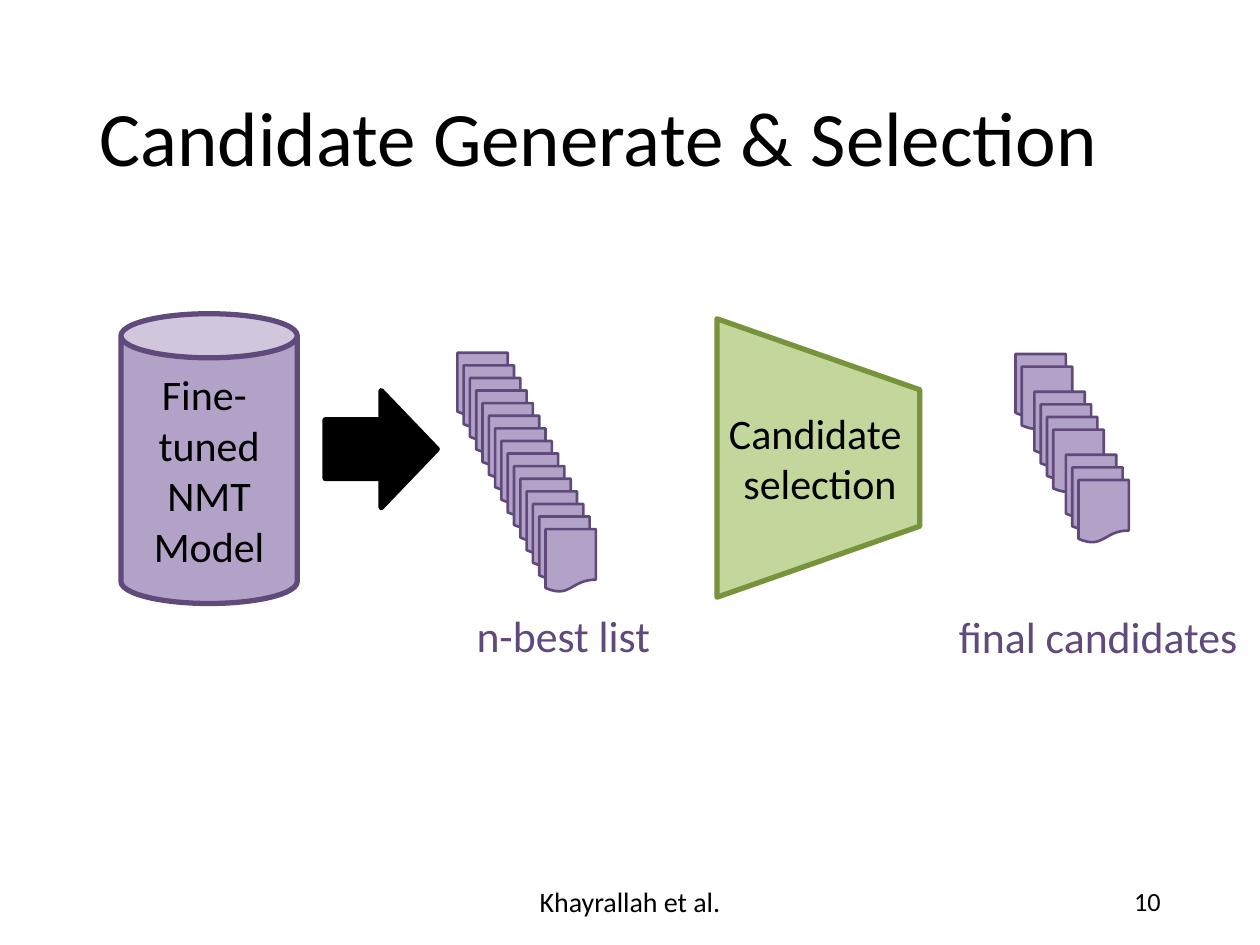
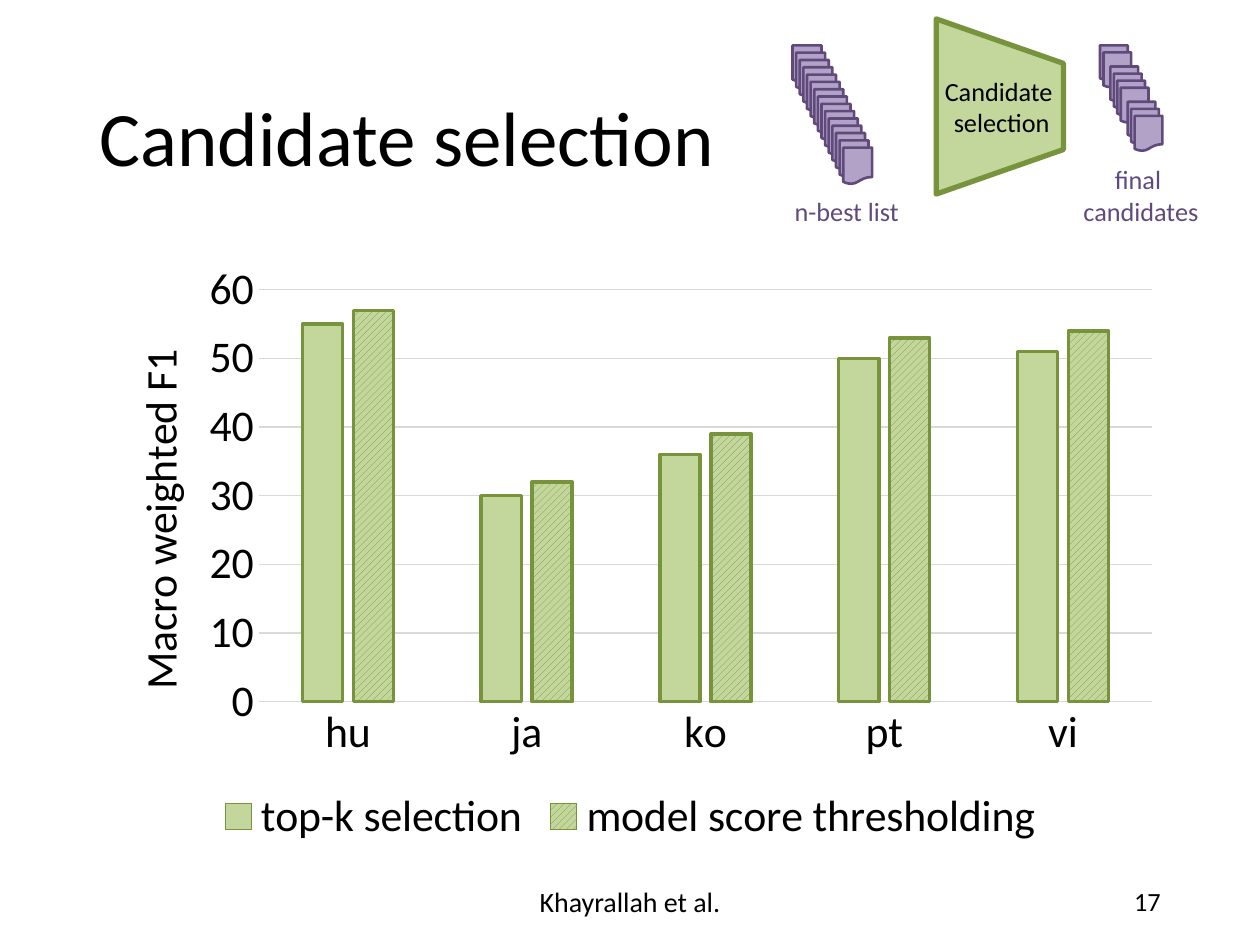
from dataclasses import dataclass

from lxml import etree
from pptx import Presentation
from pptx.chart.data import CategoryChartData
from pptx.dml.color import RGBColor
from pptx.enum.chart import XL_CHART_TYPE, XL_LEGEND_POSITION, XL_TICK_MARK
from pptx.enum.dml import MSO_PATTERN
from pptx.enum.shapes import MSO_SHAPE
from pptx.enum.text import MSO_ANCHOR, PP_ALIGN
from pptx.oxml.ns import qn
from pptx.util import Inches, Pt

LEFT, CENTER, RIGHT = PP_ALIGN.LEFT, PP_ALIGN.CENTER, PP_ALIGN.RIGHT
TOP, MIDDLE = MSO_ANCHOR.TOP, MSO_ANCHOR.MIDDLE
CAN, ARROW = MSO_SHAPE.CAN, MSO_SHAPE.RIGHT_ARROW
DOCUMENT, TRAPEZOID = MSO_SHAPE.FLOWCHART_DOCUMENT, MSO_SHAPE.TRAPEZOID
COLUMNS = XL_CHART_TYPE.COLUMN_CLUSTERED
BOTTOM = XL_LEGEND_POSITION.BOTTOM
NO_TICK = XL_TICK_MARK.NONE
HATCH = MSO_PATTERN.WIDE_UPWARD_DIAGONAL
TITLE_ONLY = 5


@dataclass(frozen=True)
class Theme:
    font: str = "Calibri"
    black: str = "000000"
    purple: str = "B3A2C7"
    dark_purple: str = "604A7B"
    green: str = "C3D69B"
    dark_green: str = "77933C"
    grid: str = "D9D9D9"
    title: int = 44
    chart: int = 25
    label: int = 25
    body: int = 24
    footer: int = 16
    small: int = 15


def rgb(color):
    return RGBColor.from_string(color)


def style_font(font, size, color, name):
    font.size = Pt(size)
    font.name = name
    font.bold = False
    font.color.rgb = rgb(color)


def write_text(tf, text, size, color=Theme.black, name=Theme.font, align=CENTER,
               anchor=MIDDLE, wrap=True, spacing=None):
    tf.word_wrap = wrap
    tf.vertical_anchor = anchor
    for i, line in enumerate(text.split("\n")):
        p = tf.paragraphs[0] if i == 0 else tf.add_paragraph()
        p.alignment = align
        if spacing:
            p.line_spacing = spacing
        r = p.add_run()
        r.text = line
        style_font(r.font, size, color, name)


def set_layout(parent, **places):
    layout = parent.find(qn("c:layout"))
    if layout is None:
        layout = etree.Element(qn("c:layout"))
        parent.insert(0, layout)
    manual = etree.SubElement(layout, qn("c:manualLayout"))
    if "w" in places:
        etree.SubElement(manual, qn("c:layoutTarget")).set("val", "inner")
    for mode in ("xMode", "yMode"):
        etree.SubElement(manual, qn(f"c:{mode}")).set("val", "edge")
    for key, value in places.items():
        etree.SubElement(manual, qn(f"c:{key}")).set("val", str(value))


class Deck:
    def __init__(self, theme):
        self.theme = theme
        self.prs = Presentation()
        self.prs.slide_width, self.prs.slide_height = Inches(10), Inches(7.5)
        self.s = None

    def slide(self, title, number):
        t = self.theme
        self.s = self.prs.slides.add_slide(self.prs.slide_layouts[TITLE_ONLY])
        sp = self.s.shapes.title
        sp.left, sp.top = Inches(0.69), Inches(0.4)
        sp.width, sp.height = Inches(8.62), Inches(1.45)
        write_text(sp.text_frame, title, t.title, align=LEFT, spacing=0.9)
        self.text("Khayrallah et al.", 3.31, 6.95, 3.38, 0.4, size=t.footer)
        self.text(str(number), 7.06, 6.95, 2.25, 0.4, size=t.small, align=RIGHT)

    def text(self, text, x, y, w, h, **fmt):
        sp = self.s.shapes.add_textbox(Inches(x), Inches(y), Inches(w), Inches(h))
        write_text(sp.text_frame, text, **fmt)

    def label(self, text, x, y, w, h, size):
        self.text(text, x, y, w, h, size=size, color=self.theme.dark_purple, anchor=TOP)

    def shape(self, kind, x, y, w, h, fill, line, weight=3, parent=None):
        shapes = (parent or self.s).shapes
        sp = shapes.add_shape(kind, Inches(x), Inches(y), Inches(w), Inches(h))
        sp.shadow.inherit = False
        sp.fill.solid()
        sp.fill.fore_color.rgb = rgb(fill)
        sp.line.color.rgb = rgb(line)
        sp.line.width = Pt(weight)
        return sp

    def stack(self, x, y, w, h, ranks):
        group = self.s.shapes.add_group_shape()
        for rank in ranks:
            self.shape(DOCUMENT, x + rank * w / 8, y + rank * h / 5, w, h,
                       self.theme.purple, self.theme.dark_purple, 1.5, group)

    def selector(self, x, y, w, h, size, top_inset=0):
        sp = self.shape(TRAPEZOID, x, y, w, h, self.theme.green, self.theme.dark_green)
        sp.rotation = 90
        sp.adjustments[0] = 0.35
        tf = sp.text_frame
        tf.margin_left = tf.margin_right = 0
        tf.margin_top, tf.margin_bottom = Inches(top_inset), Inches(0.3)
        write_text(tf, "Candidate \nselection", size, wrap=False)
        sp.element.txBody.bodyPr.set("vert", "vert270")

    def chart(self, x, y, w, h, categories, series, axis_title):
        t = self.theme
        data = CategoryChartData()
        data.categories = categories
        for name, values in series.items():
            data.add_series(name, values)
        chart = self.s.shapes.add_chart(
            COLUMNS, Inches(x), Inches(y), Inches(w), Inches(h), data).chart
        style_font(chart.font, t.chart, t.black, t.font)
        chart.has_title = False
        chart.has_legend = True
        chart.legend.position = BOTTOM
        chart.legend.include_in_layout = False
        style_font(chart.legend.font, t.chart, t.black, t.font)
        for axis in (chart.category_axis, chart.value_axis):
            axis.major_tick_mark = axis.minor_tick_mark = NO_TICK
            style_font(axis.tick_labels.font, t.chart, t.black, t.font)
        self.axes(chart, axis_title)
        plot = chart.plots[0]
        plot.vary_by_categories = False
        plot.gap_width, plot.overlap = 219, -27
        for ser, hatched in zip(plot.series, (False, True)):
            self.column(ser, hatched)
        plot_area = chart.element.find(".//" + qn("c:plotArea"))
        set_layout(plot_area, x=0.158, y=0.063, w=0.823, h=0.687)

    def axes(self, chart, axis_title):
        t = self.theme
        axis = chart.value_axis
        axis.minimum_scale, axis.maximum_scale, axis.major_unit = 0, 60, 10
        axis.format.line.fill.background()
        axis.has_major_gridlines = True
        for line in (axis.major_gridlines.format.line, chart.category_axis.format.line):
            line.color.rgb = rgb(t.grid)
            line.width = Pt(0.75)
        axis.has_title = True
        title = axis.axis_title
        write_text(title.text_frame, axis_title, t.chart)
        body = title.element.find(".//" + qn("a:bodyPr"))
        body.set("rot", "-5400000")
        body.set("vert", "horz")
        set_layout(title.element, x=0.033, y=0.15)

    def column(self, ser, hatched):
        t = self.theme
        fill = ser.format.fill
        if hatched:
            fill.patterned()
            fill.pattern = HATCH
            fill.fore_color.rgb = rgb(t.dark_green)
            fill.back_color.rgb = rgb(t.green)
        else:
            fill.solid()
            fill.fore_color.rgb = rgb(t.green)
        ser.format.line.color.rgb = rgb(t.dark_green)
        ser.format.line.width = Pt(2)


N_BEST = range(15)
FINAL = [rank for rank in range(11) if rank not in (2, 7)]


def pipeline_slide(deck):
    t = deck.theme
    deck.slide("Candidate Generate & Selection", 10)
    model = deck.shape(CAN, 0.96, 2.49, 1.4, 2.3, t.purple, t.dark_purple)
    write_text(model.text_frame, "Fine- \ntuned\nNMT\nModel", t.body)
    deck.shape(ARROW, 2.58, 3.1, 0.89, 0.93, t.black, t.black)
    deck.stack(3.63, 2.8, 0.4, 0.5, N_BEST)
    deck.label("n-best list", 3.63, 4.78, 1.68, 0.52, t.label)
    deck.selector(5.39, 2.83, 2.21, 1.61, t.body)
    deck.stack(8.06, 2.81, 0.4, 0.5, FINAL)
    deck.label("final candidates", 7.3, 4.79, 2.83, 0.52, t.label)


def results_slide(deck):
    t = deck.theme
    deck.slide("Candidate selection", 17)
    deck.chart(0.69, 2, 8.62, 4.76, ["hu", "ja", "ko", "pt", "vi"],
               {"top-k selection": [55, 30, 36, 50, 51],
                "model score thresholding": [57, 32, 39, 53, 54]},
               "Macro weighted F1")
    deck.stack(6.29, 0.36, 0.23, 0.29, N_BEST)
    deck.label("n-best list", 5.88, 1.5, 1.68, 0.35, t.small)
    deck.selector(7.24, 0.34, 1.39, 1.01, t.small, top_inset=0.1)
    deck.stack(8.73, 0.36, 0.22, 0.28, FINAL)
    deck.label("final \ncandidates", 7.64, 1.25, 2.83, 0.61, t.small)


def main():
    deck = Deck(Theme())
    pipeline_slide(deck)
    results_slide(deck)
    deck.prs.save("out.pptx")


if __name__ == "__main__":
    main()
